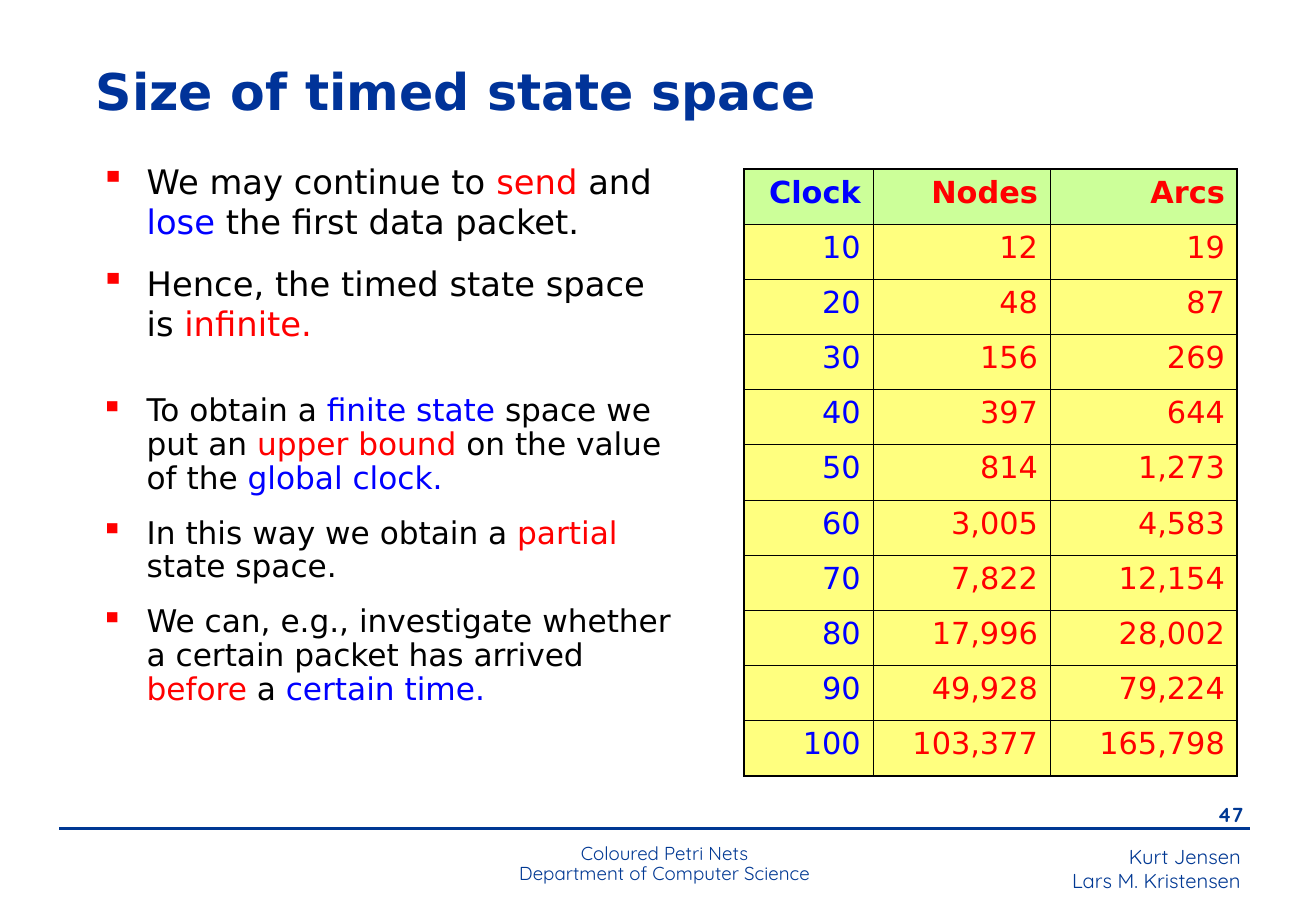
"""Build the slide on the size of a timed state space."""
from dataclasses import dataclass
from typing import NamedTuple

import lxml.etree
import pptx
import pptx.dml.color
import pptx.enum.shapes
import pptx.enum.text
import pptx.oxml.ns
import pptx.util

COLOURS = {
    "navy": "003893", "title": "003399", "black": "000000", "red": "FF0000",
    "blue": "0000FF", "header": "CCFF99", "body": "FFFF00",
}
ALIGN = pptx.enum.text.PP_ALIGN
ANCHOR = pptx.enum.text.MSO_ANCHOR
MAIN_FONT = "DejaVu Sans"
FOOTER_FONT = "Quicksand"
BULLET_INDENT = 0.38
THIN, THICK = 0.45, 1.08


class Span(NamedTuple):
    text: str
    colour: str = "black"


@dataclass
class TextBlock:
    left: float
    top: float
    width: float
    height: float
    paragraphs: list[list[Span]]
    size: float
    font: str = MAIN_FONT
    bold: bool = False
    align: ALIGN = ALIGN.LEFT
    anchor: ANCHOR = ANCHOR.TOP
    line_spacing: float = 1.0
    bulleted: bool = False


TEXT_BLOCKS = [
    TextBlock(6.95, 6.9, 3.37, 0.5,
              [[Span("Kurt Jensen", "navy")], [Span("Lars M. Kristensen", "navy")]],
              12, FOOTER_FONT, align=ALIGN.RIGHT),
    TextBlock(9.63, 6.56, 0.71, 0.33, [[Span("47", "navy")]],
              12, FOOTER_FONT, bold=True, align=ALIGN.RIGHT),
    TextBlock(3.41, 6.9, 4.13, 0.47,
              [[Span("Coloured Petri Nets", "navy")],
               [Span("Department of Computer Science", "navy")]],
              11.1, FOOTER_FONT, align=ALIGN.CENTER, line_spacing=0.9),
    TextBlock(0.69, 0.4, 6.54, 0.69, [[Span("Size of timed state space", "title")]],
              30, bold=True, anchor=ANCHOR.MIDDLE),
    TextBlock(0.73, 1.27, 4.88, 1.69, [
        [Span("We may continue to "), Span("send", "red"), Span(" and "),
         Span("lose", "blue"), Span(" the first data packet.")],
        [Span("Hence, the timed state space is "), Span("infinite.", "red")],
    ], 20, bulleted=True),
    TextBlock(0.73, 3.2, 4.92, 2.99, [
        [Span("To obtain a "), Span("finite state", "blue"), Span(" space we put an "),
         Span("upper bound", "red"), Span(" on the value of the "),
         Span("global clock.", "blue")],
        [Span("In this way we obtain a "), Span("partial", "red"), Span(" state space.")],
        [Span("We can, e.g., investigate whether a certain packet has arrived "),
         Span("before", "red"), Span(" a "), Span("certain time.", "blue")],
    ], 18.5, line_spacing=0.9, bulleted=True),
]

TABLE_BOX = (6.13, 1.39, 4.06, 5.0)
COLUMN_WIDTHS = [1.06, 1.46, 1.54]
COLUMN_COLOURS = ["blue", "red", "red"]
STATE_SPACE_SIZES = [
    ("Clock", "Nodes", "Arcs"),
    ("10", "12", "19"),
    ("20", "48", "87"),
    ("30", "156", "269"),
    ("40", "397", "644"),
    ("50", "814", "1,273"),
    ("60", "3,005", "4,583"),
    ("70", "7,822", "12,154"),
    ("80", "17,996", "28,002"),
    ("90", "49,928", "79,224"),
    ("100", "103,377", "165,798"),
]


def rgb(colour: str) -> pptx.dml.color.RGBColor:
    """Return the named colour."""
    return pptx.dml.color.RGBColor.from_string(COLOURS[colour])


def add_element(parent, tag: str, **attributes: str):
    """Append a DrawingML element to the parent."""
    return lxml.etree.SubElement(parent, pptx.oxml.ns.qn(tag), attributes)


def add_span(paragraph, span: Span, size: float, font: str, bold: bool) -> None:
    """Add one formatted run to the paragraph."""
    run = paragraph.add_run()
    run.text = span.text
    run.font.size = pptx.util.Pt(size)
    run.font.name = font
    run.font.bold = bold
    run.font.color.rgb = rgb(span.colour)


def add_bullet(paragraph) -> None:
    """Give the paragraph a red square bullet and a hanging indent."""
    properties = paragraph._p.get_or_add_pPr()
    indent = pptx.util.Inches(BULLET_INDENT)
    properties.set("marL", str(indent))
    properties.set("indent", str(-indent))
    bullet_colour = add_element(properties, "a:buClr")
    add_element(bullet_colour, "a:srgbClr", val=COLOURS["red"])
    add_element(properties, "a:buChar", char="▪")


def add_text_block(slide, block: TextBlock) -> None:
    """Draw a text block."""
    box = slide.shapes.add_textbox(*map(
        pptx.util.Inches, (block.left, block.top, block.width, block.height)))
    frame = box.text_frame
    frame.word_wrap = True
    frame.vertical_anchor = block.anchor
    for index, spans in enumerate(block.paragraphs):
        paragraph = frame.add_paragraph() if index else frame.paragraphs[0]
        paragraph.alignment = block.align
        paragraph.line_spacing = block.line_spacing
        if block.bulleted:
            add_bullet(paragraph)
            if index:
                paragraph.space_before = pptx.util.Pt(12.5)
        for span in spans:
            add_span(paragraph, span, block.size, block.font, block.bold)


def add_border(cell, side: str, width: float) -> None:
    """Draw one black border of a cell."""
    border = add_element(cell._tc.get_or_add_tcPr(), f"a:ln{side}",
                         w=str(pptx.util.Pt(width)))
    fill = add_element(border, "a:solidFill")
    add_element(fill, "a:srgbClr", val=COLOURS["black"])


def add_size_table(slide) -> None:
    """Draw the table of state space sizes."""
    row_count, column_count = len(STATE_SPACE_SIZES), len(COLUMN_WIDTHS)
    table = slide.shapes.add_table(
        row_count, column_count, *map(pptx.util.Inches, TABLE_BOX)).table
    table.horz_banding = False
    for column, width in zip(table.columns, COLUMN_WIDTHS):
        column.width = pptx.util.Inches(width)
    for row, values in enumerate(STATE_SPACE_SIZES):
        table.rows[row].height = pptx.util.Inches(TABLE_BOX[3] / row_count)
        is_header = row == 0
        for column, value in enumerate(values):
            cell = table.cell(row, column)
            outer_sides = {
                "L": column == 0, "R": column == column_count - 1,
                "T": is_header, "B": row == row_count - 1,
            }
            for side, is_outer in outer_sides.items():
                add_border(cell, side, THICK if is_outer else THIN)
            cell.fill.solid()
            cell.fill.fore_color.rgb = rgb("header" if is_header else "body")
            if not is_header:
                fill_colour = cell._tc.tcPr.find(
                    pptx.oxml.ns.qn("a:solidFill"))[0]
                add_element(fill_colour, "a:alpha", val="50000")
            paragraph = cell.text_frame.paragraphs[0]
            paragraph.alignment = ALIGN.RIGHT
            add_span(paragraph, Span(value, COLUMN_COLOURS[column]),
                     18, MAIN_FONT, is_header)


def add_footer_rule(slide) -> None:
    """Draw the line above the footer."""
    rule = slide.shapes.add_connector(
        pptx.enum.shapes.MSO_CONNECTOR.STRAIGHT,
        *map(pptx.util.Inches, (0.49, 6.82, 10.3, 6.82)))
    rule.line.color.rgb = rgb("navy")
    rule.line.width = pptx.util.Pt(1.5)
    add_element(rule._element.spPr, "a:effectLst")


def main() -> None:
    """Build and save the presentation."""
    presentation = pptx.Presentation()
    presentation.slide_width = pptx.util.Inches(10.84)
    presentation.slide_height = pptx.util.Inches(7.5)
    slide = presentation.slides.add_slide(presentation.slide_layouts[6])
    add_footer_rule(slide)
    for block in TEXT_BLOCKS:
        add_text_block(slide, block)
    add_size_table(slide)
    presentation.save("out.pptx")


if __name__ == "__main__":
    main()
